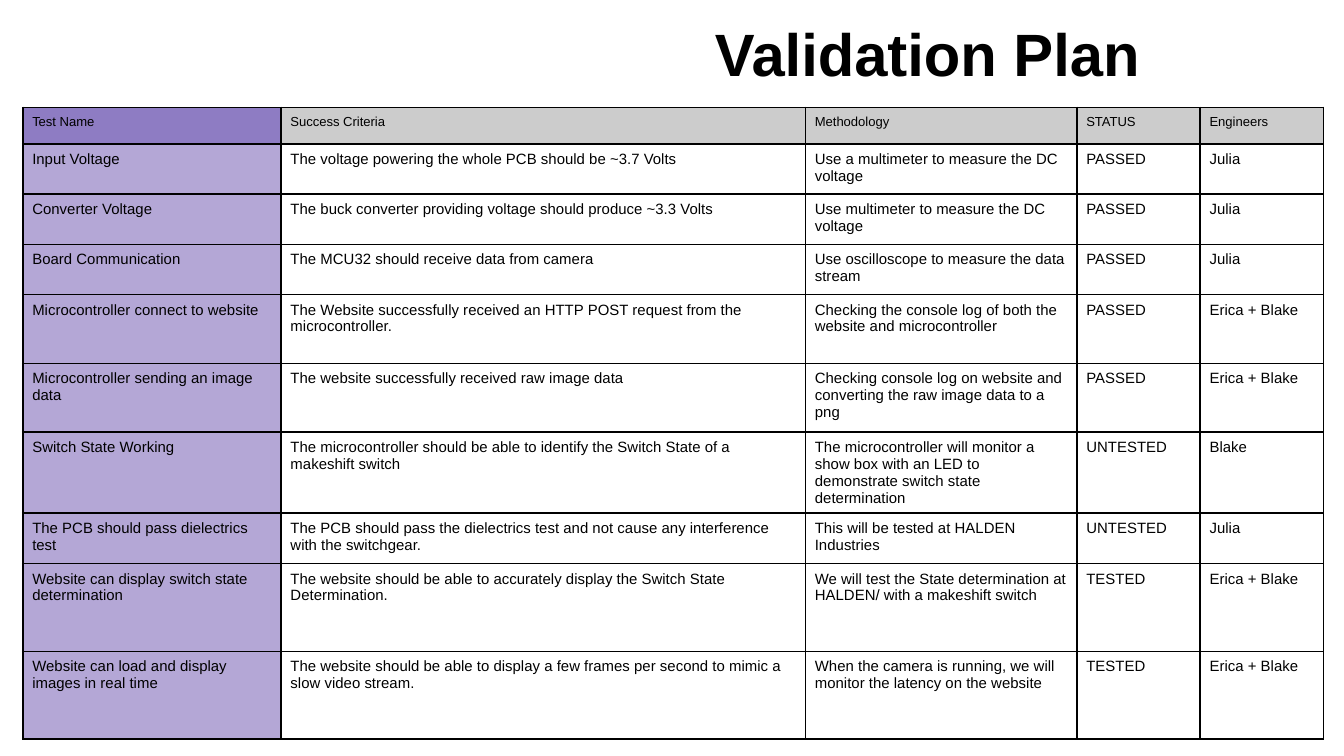
import dataclasses

import lxml.etree
import pptx
import pptx.dml.color
import pptx.enum.text
import pptx.oxml.ns
import pptx.util

Cm = pptx.util.Cm
RGB = pptx.dml.color.RGBColor.from_string
qn = pptx.oxml.ns.qn


@dataclasses.dataclass(frozen=True)
class Theme:
    font: str = "Arial"
    ink: str = "000000"
    corner: str = "8E7CC3"
    header: str = "CCCCCC"
    name: str = "B4A7D6"
    body: str = "FFFFFF"
    title_size: int = 32
    header_size: int = 7
    body_size: int = 8
    border: int = 1


theme = Theme()


def write(tf, text, size, bold=False, align=pptx.enum.text.PP_ALIGN.LEFT):
    tf.word_wrap = True
    p = tf.paragraphs[0]
    p.alignment = align
    r = p.add_run()
    r.text = text
    r.font.name = theme.font
    r.font.size = pptx.util.Pt(size)
    r.font.bold = bold
    r.font.color.rgb = RGB(theme.ink)


def add_borders(cell):
    tcPr = cell._tc.get_or_add_tcPr()
    # Borders come before the fill in the cell properties
    for i, side in enumerate(("a:lnL", "a:lnR", "a:lnT", "a:lnB")):
        ln = lxml.etree.Element(qn(side), w=str(pptx.util.Pt(theme.border)))
        fill = lxml.etree.SubElement(ln, qn("a:solidFill"))
        lxml.etree.SubElement(fill, qn("a:srgbClr"), val=theme.ink)
        tcPr.insert(i, ln)


rows = [
    ("Test Name", "Success Criteria", "Methodology", "STATUS", "Engineers"),
    ("Input Voltage",
     "The voltage powering the whole PCB should be ~3.7 Volts",
     "Use a multimeter to measure the DC voltage", "PASSED", "Julia"),
    ("Converter Voltage",
     "The buck converter providing voltage should produce ~3.3 Volts",
     "Use multimeter to measure the DC voltage", "PASSED", "Julia"),
    ("Board Communication",
     "The MCU32 should receive data from camera",
     "Use oscilloscope to measure the data stream", "PASSED", "Julia"),
    ("Microcontroller connect to website",
     "The Website successfully received an HTTP POST request from the microcontroller.",
     "Checking the console log of both the website and microcontroller",
     "PASSED", "Erica + Blake"),
    ("Microcontroller sending an image data",
     "The website successfully received raw image data",
     "Checking console log on website and converting the raw image data to a png",
     "PASSED", "Erica + Blake"),
    ("Switch State Working",
     "The microcontroller should be able to identify the Switch State of a makeshift switch",
     "The microcontroller will monitor a show box with an LED to demonstrate "
     "switch state determination", "UNTESTED", "Blake"),
    ("The PCB should pass dielectrics test",
     "The PCB should pass the dielectrics test and not cause any interference "
     "with the switchgear.",
     "This will be tested at HALDEN Industries", "UNTESTED", "Julia"),
    ("Website can display switch state determination",
     "The website should be able to accurately display the Switch State Determination.",
     "We will test the State determination at HALDEN/ with a makeshift switch",
     "TESTED", "Erica + Blake"),
    ("Website can load and display images in real time",
     "The website should be able to display a few frames per second to mimic "
     "a slow video stream.",
     "When the camera is running, we will monitor the latency on the website",
     "TESTED", "Erica + Blake"),
]
col_widths = [4.88, 9.91, 5.13, 2.33, 2.33]
row_heights = [0.69, 0.95, 0.95, 0.95, 1.3, 1.3, 1.24, 0.95, 1.66, 1.66]

prs = pptx.Presentation()
prs.slide_width, prs.slide_height = Cm(25.4), Cm(14.29)
s = prs.slides.add_slide(prs.slide_layouts[6])

# Validation table
table = s.shapes.add_table(len(rows), len(col_widths), Cm(0.43), Cm(2.03),
                           Cm(sum(col_widths)), Cm(sum(row_heights))).table
table.first_row = table.horz_banding = False
for col, width in zip(table.columns, col_widths):
    col.width = Cm(width)
for row, height in zip(table.rows, row_heights):
    row.height = Cm(height)

for i, values in enumerate(rows):
    first, rest = (theme.name, theme.body) if i else (theme.corner, theme.header)
    for j, text in enumerate(values):
        cell = table.cell(i, j)
        cell.margin_left = cell.margin_right = Cm(0.18)
        cell.margin_top = cell.margin_bottom = Cm(0.13)
        cell.fill.solid()
        cell.fill.fore_color.rgb = RGB(rest if j else first)
        add_borders(cell)
        write(cell.text_frame, text, theme.body_size if i else theme.header_size)

# Title
tf = s.shapes.add_textbox(Cm(10.77), Cm(0.15), Cm(13.84), Cm(1.68)).text_frame
tf.vertical_anchor = pptx.enum.text.MSO_ANCHOR.MIDDLE
write(tf, "Validation Plan ", theme.title_size, bold=True,
      align=pptx.enum.text.PP_ALIGN.CENTER)

prs.save("out.pptx")
